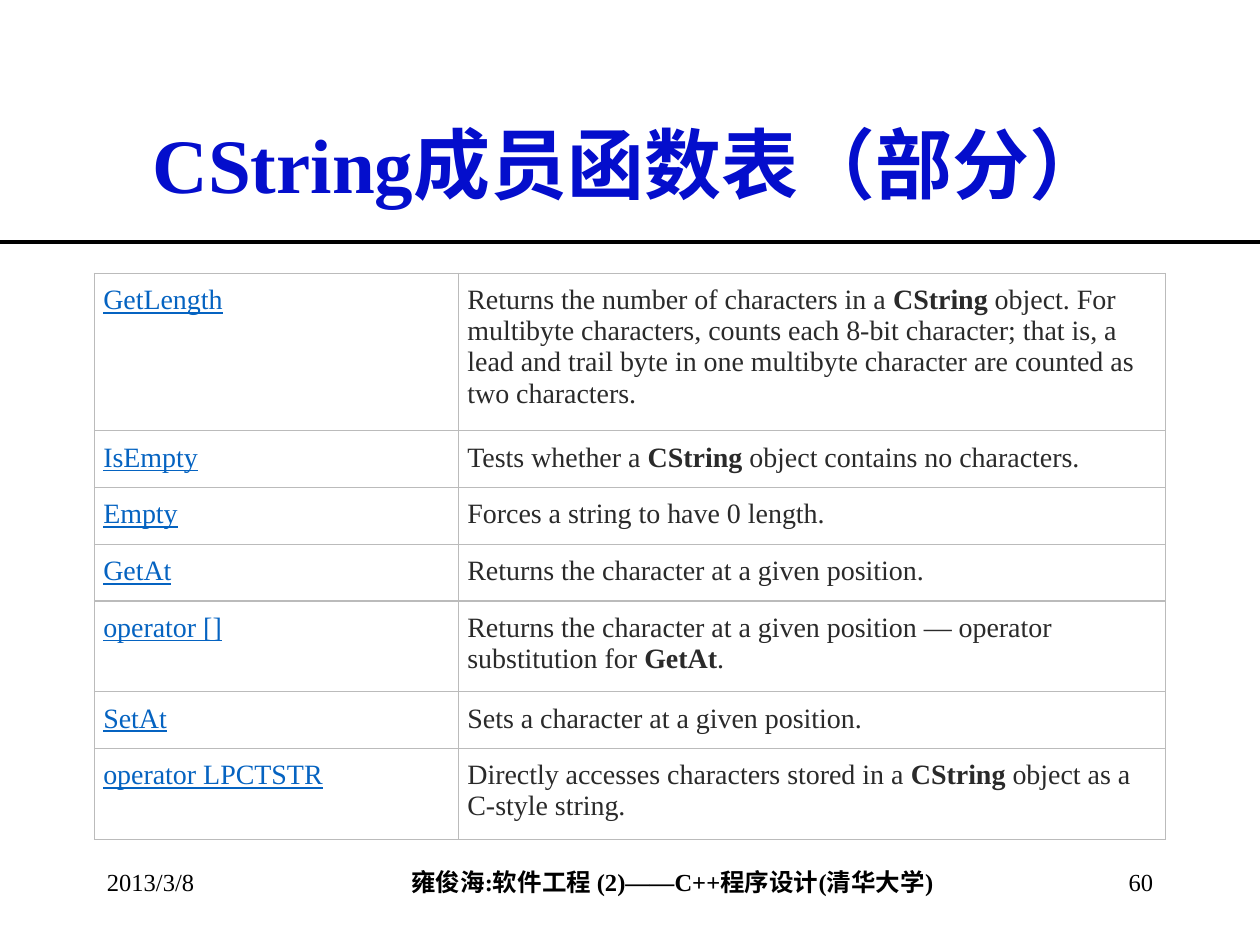
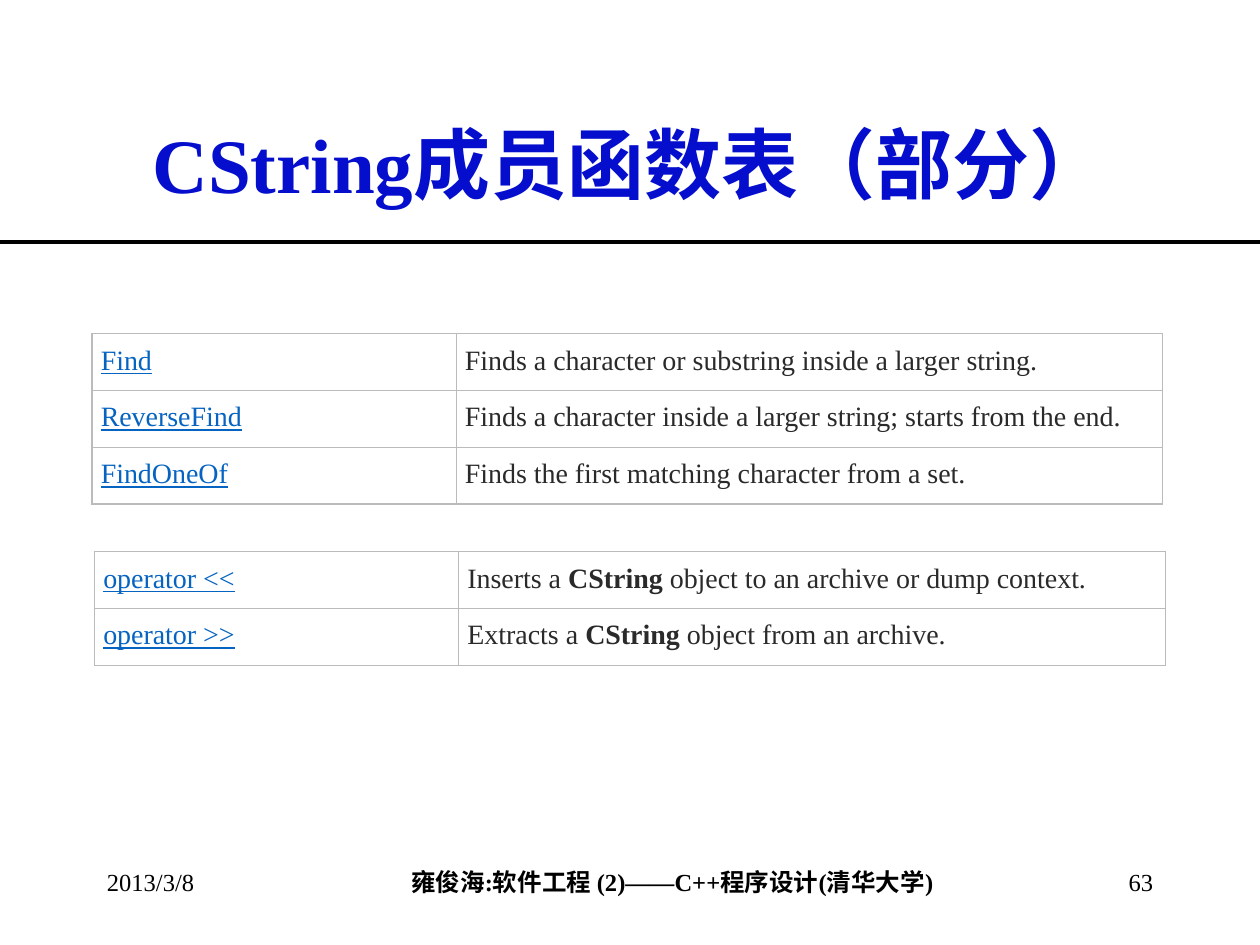
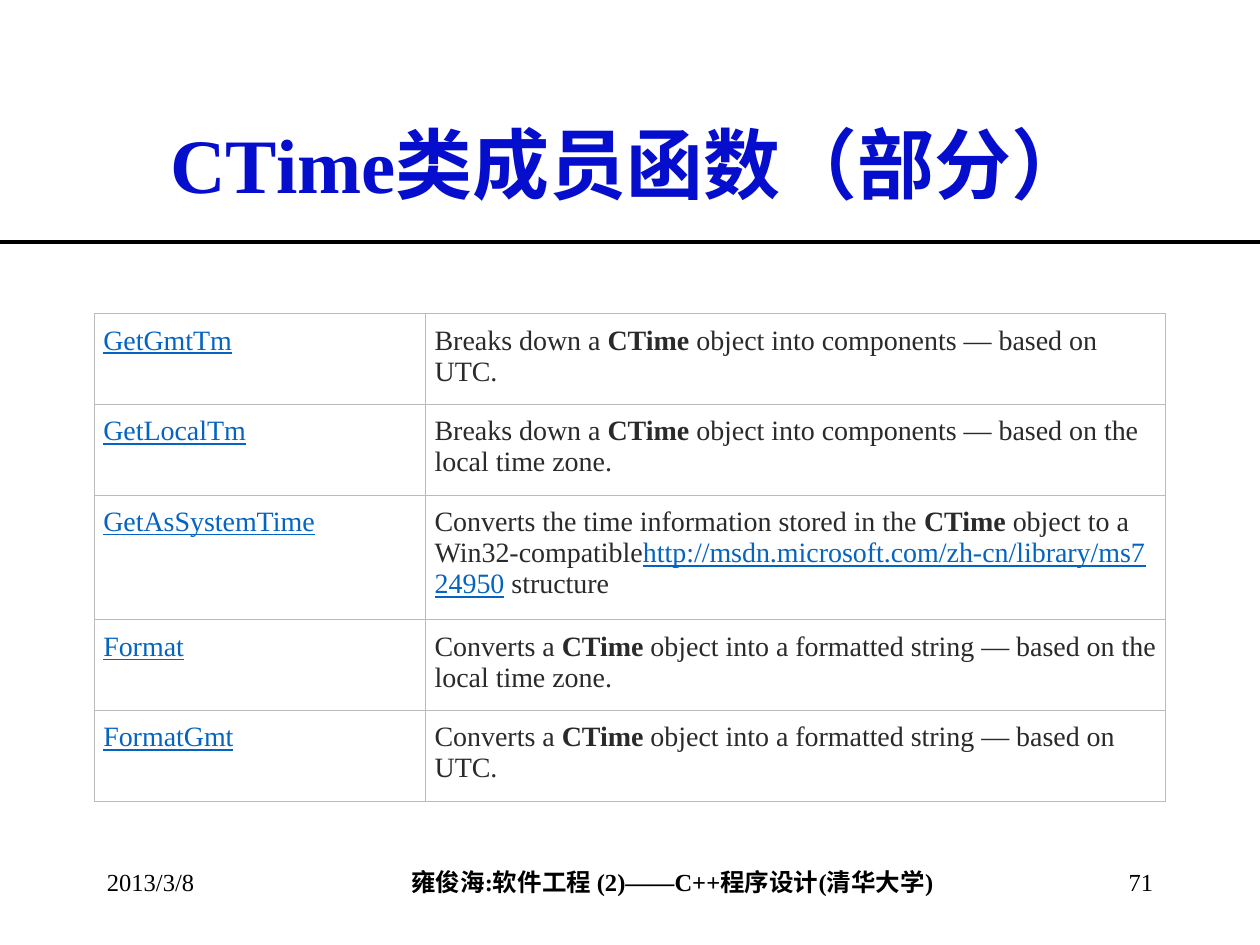
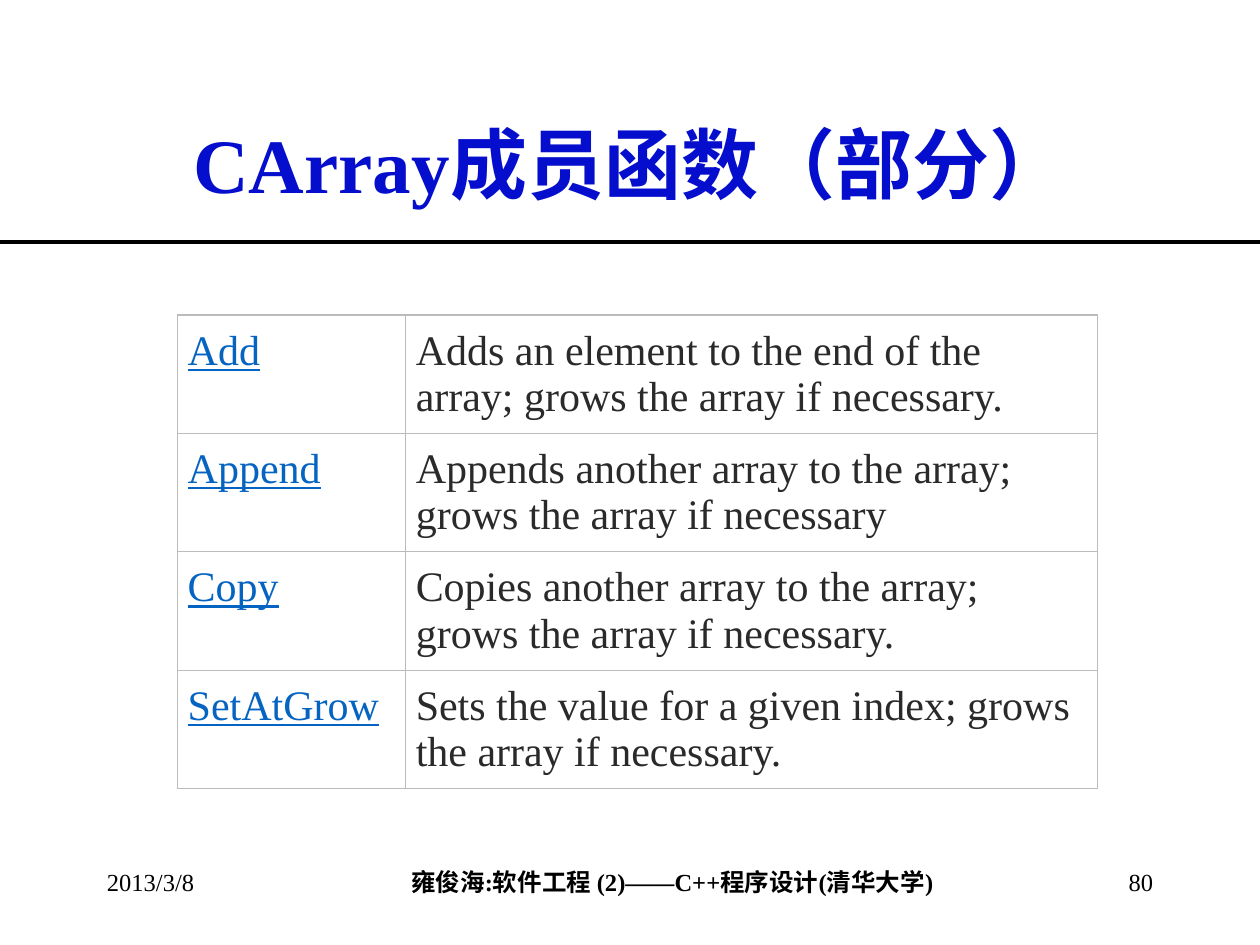
from lxml import etree
from pptx import Presentation, util as u
from pptx.dml.color import RGBColor
from pptx.enum import shapes, text
from pptx.oxml import ns

Inches = u.Inches
FONT = "Times New Roman"
COLORS = {"title": "040ECC", "ink": "000000", "link": "0563C1",
          "body": "2A2A2A", "border": "BBBBBB"}
DATE = "2013/3/8"
COURSE = "雍俊海:软件工程 (2)——C++程序设计(清华大学)"
TITLE_BOX = (0.75, 0.67, 8.5, 1.25)
RULE_Y = 1.92
FOOTER_Y = 6.83
ONE_LINE, TWO_LINES, THREE_LINES, FOUR_LINES = 0.45, 0.72, 0.99, 1.25

# Table rows: name, description, height. Asterisks enclose bold words or an address.
ACCESS_ROWS = [
    ("GetLength", "Returns the number of characters in a *CString* object. For multibyte "
     "characters, counts each 8-bit character; that is, a lead and trail byte in one "
     "multibyte character are counted as two characters.", FOUR_LINES),
    ("IsEmpty", "Tests whether a *CString* object contains no characters.", ONE_LINE),
    ("Empty", "Forces a string to have 0 length.", ONE_LINE),
    ("GetAt", "Returns the character at a given position.", ONE_LINE),
    ("operator []", "Returns the character at a given position — operator substitution "
     "for *GetAt*.", TWO_LINES),
    ("SetAt", "Sets a character at a given position.", ONE_LINE),
    ("operator LPCTSTR", "Directly accesses characters stored in a *CString* object as a "
     "C-style string.", TWO_LINES),
]
FIND_ROWS = [
    ("Find", "Finds a character or substring inside a larger string.", ONE_LINE),
    ("ReverseFind", "Finds a character inside a larger string; starts from the end.", ONE_LINE),
    ("FindOneOf", "Finds the first matching character from a set.", ONE_LINE),
]
ARCHIVE_ROWS = [
    ("operator <<", "Inserts a *CString* object to an archive or dump context.", ONE_LINE),
    ("operator >>", "Extracts a *CString* object from an archive.", ONE_LINE),
]
TIME_ROWS = [
    ("GetGmtTm", "Breaks down a *CTime* object into components — based on UTC.", TWO_LINES),
    ("GetLocalTm", "Breaks down a *CTime* object into components — based on the local "
     "time zone.", TWO_LINES),
    ("GetAsSystemTime", "Converts the time information stored in the *CTime* object to a "
     "Win32-compatible*http://msdn.microsoft.com/zh-cn/library/ms724950* structure",
     THREE_LINES),
    ("Format", "Converts a *CTime* object into a formatted string — based on the local "
     "time zone.", TWO_LINES),
    ("FormatGmt", "Converts a *CTime* object into a formatted string — based on UTC.",
     TWO_LINES),
]
ARRAY_ROW_HEIGHT = 0.94
ARRAY_ROWS = [
    ("Add", "Adds an element to the end of the array; grows the array if necessary.",
     ARRAY_ROW_HEIGHT),
    ("Append", "Appends another array to the array; grows the array if necessary",
     ARRAY_ROW_HEIGHT),
    ("Copy", "Copies another array to the array; grows the array if necessary.",
     ARRAY_ROW_HEIGHT),
    ("SetAtGrow", "Sets the value for a given index; grows the array if necessary.",
     ARRAY_ROW_HEIGHT),
]

# Tables: left, top, column widths, font size, horizontal and vertical margins, rows.
STRING_TITLE = "CString成员函数表（部分）"
WIDE_COLUMNS = (2.89, 5.61)
SMALL_STYLE = (16, 0.07, 0.09)
LARGE_STYLE = (24, 0.08, 0.1)
SLIDES = [
    (STRING_TITLE, 60, [(0.75, 2.17, WIDE_COLUMNS, SMALL_STYLE, ACCESS_ROWS)]),
    (STRING_TITLE, 63, [(0.73, 2.65, WIDE_COLUMNS, SMALL_STYLE, FIND_ROWS),
                        (0.75, 4.38, WIDE_COLUMNS, SMALL_STYLE, ARCHIVE_ROWS)]),
    ("CTime类成员函数（部分）", 71, [(0.75, 2.49, (2.63, 5.87), SMALL_STYLE, TIME_ROWS)]),
    ("CArray成员函数（部分）", 80, [(1.41, 2.5, (1.81, 5.49), LARGE_STYLE, ARRAY_ROWS)]),
]


def rgb(name):
    return RGBColor.from_string(COLORS[name])


def set_font(font, size, color, bold=False):
    font.name, font.size, font.bold = FONT, u.Pt(size), bold
    font.color.rgb = rgb(color)


def add_label(slide, box, words, align, bold=False):
    shape = slide.shapes.add_textbox(*map(Inches, box))
    shape.text_frame.word_wrap = True
    paragraph = shape.text_frame.paragraphs[0]
    paragraph.text = words
    paragraph.alignment = align
    set_font(paragraph.font, 14, "ink", bold)
    return shape


def add_shared_parts(slide, layout):
    """Build the course name and title rule, then hand them to the layout."""
    course = add_label(slide, (2.05, FOOTER_Y, 6.57, 0.33), COURSE, text.PP_ALIGN.CENTER, True)
    course.text_frame.margin_left = course.text_frame.margin_right = 0
    course.text_frame.auto_size = text.MSO_AUTO_SIZE.SHAPE_TO_FIT_TEXT
    rule = slide.shapes.add_connector(shapes.MSO_CONNECTOR.STRAIGHT, 0, Inches(RULE_Y),
                                      Inches(10), Inches(RULE_Y))
    rule.line.color.rgb = rgb("ink")
    rule.line.width = u.Pt(2.25)
    etree.SubElement(rule.element.spPr, ns.qn("a:effectLst"))
    for shape in (course, rule):
        layout.shapes.element.append(shape.element)


def fill_title(slide, words):
    title = slide.shapes.title
    title.left, title.top, title.width, title.height = map(Inches, TITLE_BOX)
    frame = title.text_frame
    frame.auto_size = text.MSO_AUTO_SIZE.NONE
    frame.vertical_anchor = text.MSO_ANCHOR.MIDDLE
    paragraph = frame.paragraphs[0]
    paragraph.text = words
    paragraph.alignment = text.PP_ALIGN.CENTER
    set_font(paragraph.font, 44, "title", True)


def add_date_and_number(slide, number):
    add_label(slide, (0.75, FOOTER_Y, 2.08, 0.5), DATE, text.PP_ALIGN.LEFT)
    add_label(slide, (7.17, FOOTER_Y, 2.08, 0.5), str(number), text.PP_ALIGN.RIGHT)


def add_borders(cell):
    properties = cell._tc.get_or_add_tcPr()
    for index, side in enumerate(("lnL", "lnR", "lnT", "lnB")):
        line = etree.Element(ns.qn(f"a:{side}"), w=str(u.Pt(0.75)))
        fill = etree.SubElement(line, ns.qn("a:solidFill"))
        etree.SubElement(fill, ns.qn("a:srgbClr"), val=COLORS["border"])
        properties.insert(index, line)


def format_cell(cell, style):
    size, side_margin, end_margin = style
    cell.margin_left = cell.margin_right = Inches(side_margin)
    cell.margin_top = cell.margin_bottom = Inches(end_margin)
    cell.fill.background()
    add_borders(cell)
    return cell.text_frame.paragraphs[0], size


def fill_name(cell, name, style):
    paragraph, size = format_cell(cell, style)
    paragraph.text = name
    set_font(paragraph.font, size, "link")
    paragraph.font.underline = True


def fill_description(cell, description, style):
    paragraph, size = format_cell(cell, style)
    for index, part in enumerate(description.split("*")):
        run = paragraph.add_run()
        run.text = part
        is_address = part.startswith("http")
        set_font(run.font, size, "link" if is_address else "body",
                 index % 2 == 1 and not is_address)
        run.font.underline = is_address


def add_function_table(slide, left, top, widths, style, rows):
    height = sum(row[2] for row in rows)
    table = slide.shapes.add_table(len(rows), 2, Inches(left), Inches(top),
                                   Inches(sum(widths)), Inches(height)).table
    table.first_row = table.horz_banding = False
    for column, width in zip(table.columns, widths):
        column.width = Inches(width)
    for index, (name, description, row_height) in enumerate(rows):
        table.rows[index].height = Inches(row_height)
        fill_name(table.cell(index, 0), name, style)
        fill_description(table.cell(index, 1), description, style)


def main():
    presentation = Presentation()
    presentation.slide_width, presentation.slide_height = Inches(10), Inches(7.5)
    layout = presentation.slide_layouts.get_by_name("Title Only")
    for title, number, tables in SLIDES:
        slide = presentation.slides.add_slide(layout)
        if len(presentation.slides) == 1:
            add_shared_parts(slide, layout)
        fill_title(slide, title)
        for table in tables:
            add_function_table(slide, *table)
        add_date_and_number(slide, number)
    presentation.save("out.pptx")


if __name__ == "__main__":
    main()
